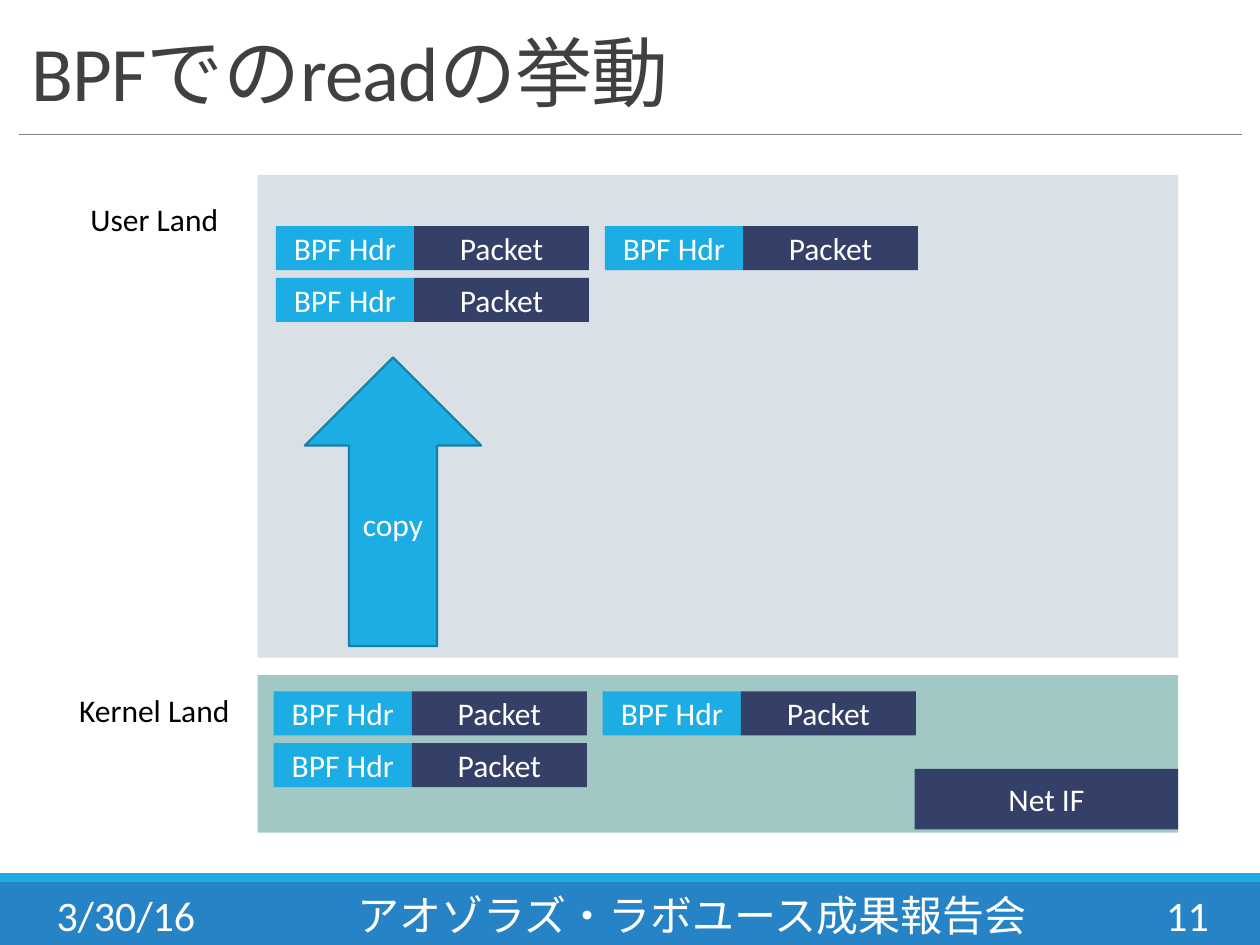
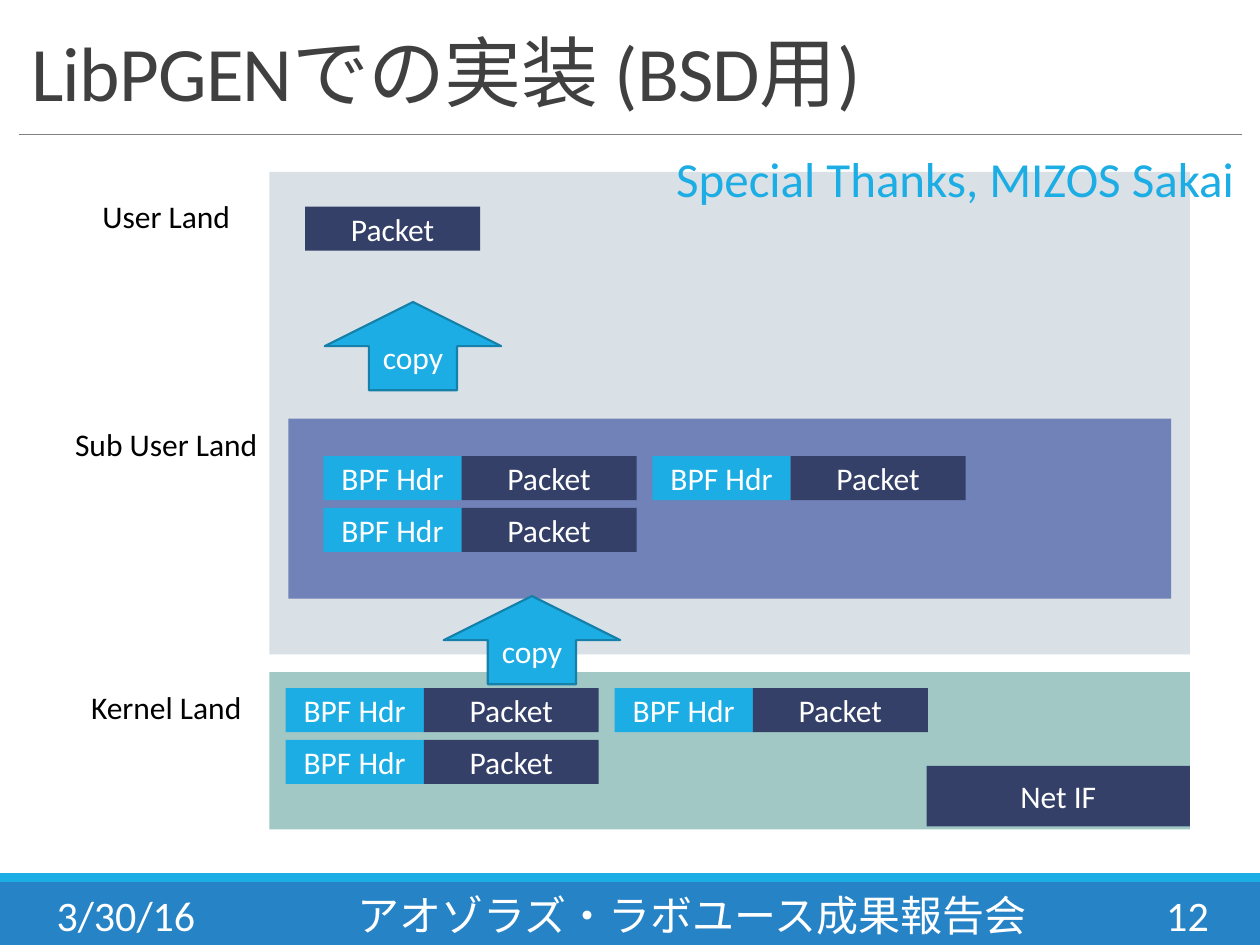
from typing import NamedTuple, Optional

import pptx
import pptx.dml.color
import pptx.enum.shapes
import pptx.enum.text
import pptx.oxml
import pptx.util

Pt = pptx.util.Pt
RGBColor = pptx.dml.color.RGBColor
Align = pptx.enum.text.PP_ALIGN
Anchor = pptx.enum.text.MSO_ANCHOR
Kind = pptx.enum.shapes.MSO_SHAPE

# Shared look
FONT = "Calibri"
WHITE = RGBColor(0xFF, 0xFF, 0xFF)
BLACK = RGBColor(0, 0, 0)
GRAY = RGBColor(0x80, 0x80, 0x80)
DARK = RGBColor(0x40, 0x40, 0x40)
BLUE = RGBColor(0x26, 0x83, 0xC6)
CYAN = RGBColor(0x1C, 0xAD, 0xE4)
EDGE = RGBColor(0x15, 0x80, 0xA9)
NAVY = RGBColor(0x34, 0x40, 0x68)
TEAL = RGBColor(0xA1, 0xC8, 0xC5)
PALE = RGBColor(0xD9, 0xE0, 0xE6)
VIOLET = RGBColor(0x71, 0x82, 0xB8)

DATE = "3/30/16"
EVENT = "アオゾラズ・ラボユース成果報告会"

# Record grid: a header joined to a packet
HEAD_W, PACK_W, CELL_H = 79, 100, 25.2
STEP_X, STEP_Y = 188, 29.6
SPOTS = [(0, 0), (1, 0), (0, 1)]


class Box(NamedTuple):
    left: float
    top: float
    width: float
    height: float


class Part(NamedTuple):
    box: Box
    fill: RGBColor
    text: str = ""
    kind: Kind = Kind.RECTANGLE
    edge: Optional[RGBColor] = None


class Note(NamedTuple):
    box: Box
    text: str
    size: float = 18
    color: RGBColor = BLACK
    align: Align = Align.CENTER
    wrap: bool = False


def place(shape, box: Box) -> None:
    shape.left, shape.top, shape.width, shape.height = map(Pt, box)


def style(para, size: float, color: RGBColor, align: Align) -> None:
    para.alignment = align
    font = para.font
    font.name, font.size, font.color.rgb = FONT, Pt(size), color


def draw_part(slide, part: Part) -> None:
    shape = slide.shapes.add_shape(part.kind, *map(Pt, part.box))
    shape.shadow.inherit = False
    shape.fill.solid()
    shape.fill.fore_color.rgb = part.fill
    if part.edge is None:
        shape.line.fill.background()
    else:
        shape.line.color.rgb = part.edge
        shape.line.width = Pt(1.25)
    if part.text:
        frame = shape.text_frame
        frame.text = part.text
        frame.vertical_anchor = Anchor.MIDDLE
        style(frame.paragraphs[0], 18, WHITE, Align.CENTER)


def draw_note(slide, note: Note) -> None:
    frame = slide.shapes.add_textbox(*map(Pt, note.box)).text_frame
    frame.word_wrap = note.wrap
    frame.vertical_anchor = Anchor.MIDDLE
    frame.text = note.text
    style(frame.paragraphs[0], note.size, note.color, note.align)


def draw_rule(slide) -> None:
    rule = slide.shapes.add_connector(
        pptx.enum.shapes.MSO_CONNECTOR.STRAIGHT, Pt(10.8), Pt(77), Pt(710), Pt(77))
    rule.line.color.rgb = GRAY
    rule.line.width = Pt(0.5)
    props = rule._element.spPr
    props.append(props.makeelement(pptx.oxml.ns.qn("a:effectLst"), {}))


def draw_title(slide, text: str) -> None:
    title = slide.shapes.title
    place(title, Box(10.8, 10, 699, 60.6))
    frame = title.text_frame
    frame.auto_size = pptx.enum.text.MSO_AUTO_SIZE.NONE
    frame.vertical_anchor = Anchor.BOTTOM
    frame.text = text
    para = frame.paragraphs[0]
    para.line_spacing = 0.85
    style(para, 44, DARK, Align.LEFT)
    para.runs[0]._r.get_or_add_rPr().set("spc", "-50")


def draw_footer(slide, page: int) -> None:
    draw_part(slide, Part(Box(0, 504, 720, 36), BLUE))
    draw_part(slide, Part(Box(0, 499, 720, 5), CYAN))
    for left, width, text, align in (
        (25.2, 146, DATE, Align.LEFT),
        (170.8, 449, EVENT, Align.CENTER),
        (620, 77.8, str(page), Align.RIGHT),
    ):
        draw_note(slide, Note(Box(left, 508.4, width, 28.8), text, 24, WHITE, align, True))


def draw_label(slide, mid_x: float, mid_y: float, text: str) -> None:
    draw_note(slide, Note(Box(mid_x - 60, mid_y - 14.5, 120, 29), text))


def draw_packet(slide, left: float, top: float) -> None:
    draw_part(slide, Part(Box(left, top, PACK_W, CELL_H), NAVY, "Packet"))


def draw_records(slide, left: float, top: float) -> None:
    for col, row in SPOTS:
        x, y = left + col * STEP_X, top + row * STEP_Y
        draw_part(slide, Part(Box(x, y, HEAD_W, CELL_H), CYAN, "BPF Hdr"))
        draw_packet(slide, x + HEAD_W, y)


def draw_copy(slide, left: float, top: float, height: float) -> None:
    draw_part(slide, Part(Box(left, top, 100.8, height), CYAN, "copy", Kind.UP_ARROW, EDGE))


def draw_lands(slide, left: float, top: float) -> None:
    """User land above kernel land, with the kernel's buffer and interface."""
    draw_part(slide, Part(Box(left, top + 285.8, 526, 90), TEAL))
    draw_part(slide, Part(Box(left, top, 526, 275.8), PALE))
    draw_label(slide, left - 59, top + 25, "User Land")
    draw_label(slide, left - 59, top + 305.6, "Kernel Land")
    draw_part(slide, Part(Box(left + 375.5, top + 339.4, 150.5, 34.6), NAVY, "Net IF"))
    draw_records(slide, left + 9.2, top + 295)


def start(deck, title: str, page: int):
    slide = deck.slides.add_slide(deck.slide_layouts[5])
    draw_footer(slide, page)
    draw_rule(slide)
    draw_title(slide, title)
    return slide


def main() -> None:
    deck = pptx.Presentation()
    deck.slide_width, deck.slide_height = Pt(720), Pt(540)

    # Reading through BPF
    slide = start(deck, "BPFでのreadの挙動", 11)
    draw_lands(slide, 147.2, 100)
    draw_copy(slide, 174.2, 204.2, 165)
    draw_records(slide, 157.6, 129.2)

    # Library with a sub user land
    slide = start(deck, "LibPGENでの実装 (BSD用)", 12)
    draw_lands(slide, 154, 98.2)
    draw_part(slide, Part(Box(164.8, 239.2, 504.4, 103), VIOLET))
    draw_label(slide, 95, 253.4, "Sub User Land")
    draw_records(slide, 184.8, 260.6)
    draw_copy(slide, 185.6, 172.6, 50.4)
    draw_copy(slide, 253.6, 340.6, 50.4)
    draw_packet(slide, 174.4, 118)
    draw_note(slide, Note(Box(377.2, 81.4, 337, 41), "Special Thanks, MIZOS Sakai", 28, CYAN))

    deck.save("out.pptx")


if __name__ == "__main__":
    main()
